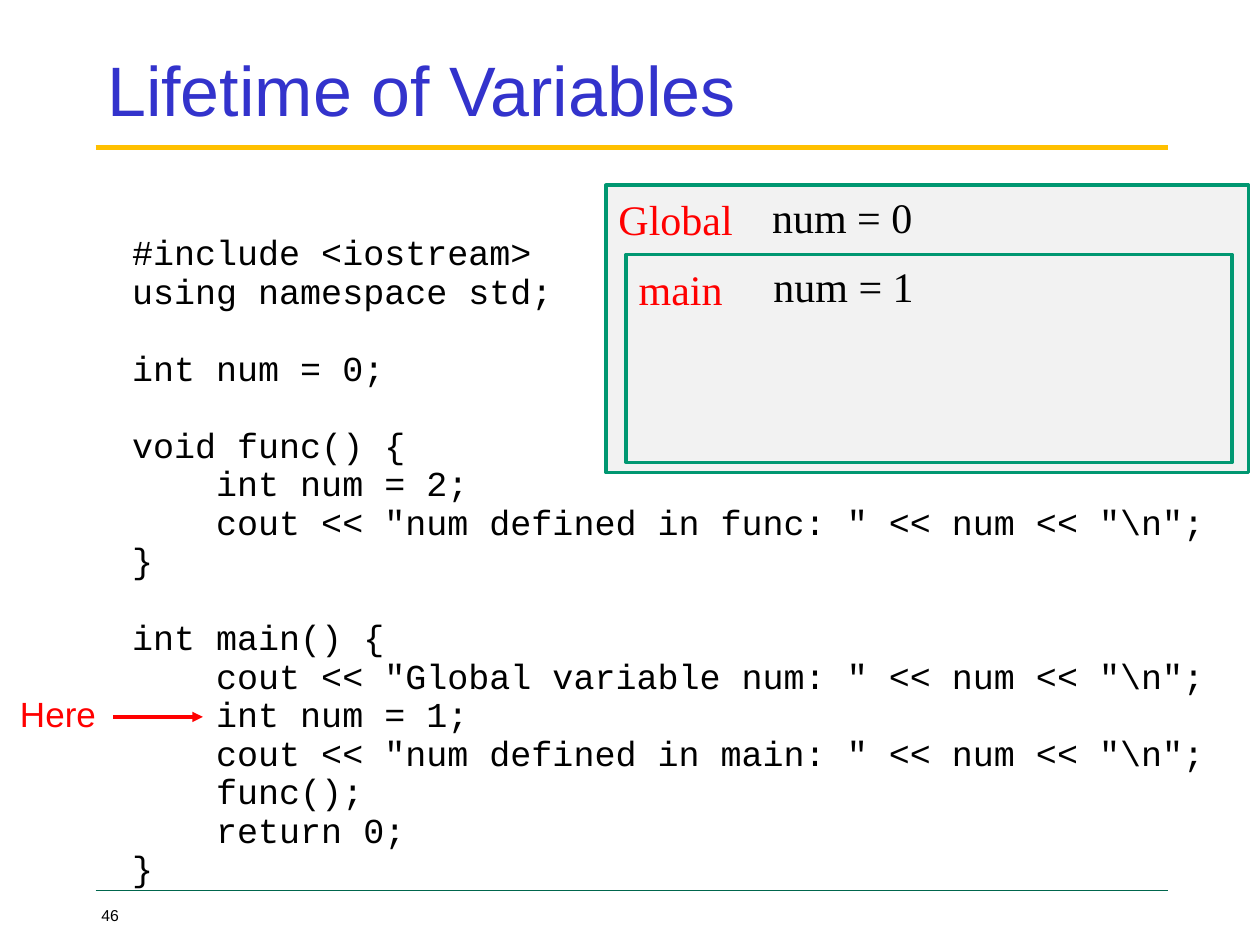
from lxml import etree
from pptx import Presentation
from pptx.dml.color import RGBColor
from pptx.enum.shapes import MSO_CONNECTOR as CONN, MSO_SHAPE as SHAPE
from pptx.enum.text import MSO_ANCHOR as ANCHOR, PP_ALIGN as ALIGN
from pptx.oxml.ns import qn
from pptx.util import Pt

PX = 9144  # 100 px to the inch

BLUE = RGBColor(0x33, 0x33, 0xCC)
GOLD = RGBColor(0xFF, 0xC0, 0x00)
DARK_GREEN = RGBColor(0x00, 0x66, 0x4D)
GREEN = RGBColor(0x00, 0x97, 0x71)
GRAY = RGBColor(0xF2, 0xF2, 0xF2)
RED = RGBColor(0xFF, 0x00, 0x00)
BLACK = RGBColor(0x00, 0x00, 0x00)

CODE = r'''#include <iostream>
using namespace std;

int num = 0;

void func() {
    int num = 2;
    cout << "num defined in func: " << num << "\n";
}

int main() {
    cout << "Global variable num: " << num << "\n";
    int num = 1;
    cout << "num defined in main: " << num << "\n";
    func();
    return 0;
}'''

prs = Presentation()
prs.slide_width, prs.slide_height = 1000 * PX, 750 * PX
s = prs.slides.add_slide(prs.slide_layouts[5])


def add_line(x1, y1, x2, y2, color, width):
    ln = s.shapes.add_connector(CONN.STRAIGHT, x1 * PX, y1 * PX, x2 * PX, y2 * PX)
    ln.line.color.rgb = color
    ln.line.width = Pt(width)
    etree.SubElement(ln._element.spPr, qn("a:effectLst"))
    return ln


def add_text(x, y, w, h, text, size, font, color, wrap=True, align=ALIGN.LEFT):
    tf = s.shapes.add_textbox(x * PX, y * PX, w * PX, h * PX).text_frame
    tf.word_wrap = wrap
    p = tf.paragraphs[0]
    p.alignment = align
    r = p.add_run()
    r.text = text
    r.font.size, r.font.name, r.font.color.rgb = Pt(size), font, color
    return tf


# Rules under the title and above the footer
add_line(76, 117, 927, 117, GOLD, 3)
add_line(76, 707, 927, 707, DARK_GREEN, 0.75)

# Title
title = s.shapes.title
title.left, title.top, title.width, title.height = 75 * PX, 33 * PX, 850 * PX, 75 * PX
tf = title.text_frame
tf.vertical_anchor = ANCHOR.MIDDLE
p = tf.paragraphs[0]
p.alignment = ALIGN.LEFT
r = p.add_run()
r.text = "Lifetime of Variables"
r.font.size, r.font.name, r.font.color.rgb = Pt(40), "Arial", BLUE

# Slide number
tf = add_text(75, 717, 25, 17, "46", 9, "Arial", BLACK, align=ALIGN.CENTER)
tf.margin_left = tf.margin_right = tf.margin_top = tf.margin_bottom = 0
tf.vertical_anchor = ANCHOR.BOTTOM

# Marker for the current statement
add_text(0, 545, 92, 44, "Here", 20, "Arial", RED, align=ALIGN.CENTER)
arrow = add_line(90, 569, 161, 569, RED, 2)
etree.SubElement(arrow.line._get_or_add_ln(), qn("a:tailEnd"), type="triangle")

# Nested scopes, each with its name and variable
for x, y, w, h, scope, value_x, value in [
    (481, 147, 510, 228, "Global", 603, "num = 0"),
    (497, 202, 481, 165, "main", 604, "num = 1"),
]:
    sp = s.shapes.add_shape(SHAPE.RECTANGLE, x * PX, y * PX, w * PX, h * PX)
    sp.shadow.inherit = False
    sp.fill.solid()
    sp.fill.fore_color.rgb = GRAY
    sp.line.color.rgb = GREEN
    sp.line.width = Pt(2)
    add_text(x, y + 2, 255, 50, scope, 24, "Times New Roman", RED)
    add_text(value_x, y, 133, 50, value, 24, "Times New Roman", BLACK, wrap=False)

# Program: an empty line becomes space before the next paragraph
tf = s.shapes.add_textbox(95 * PX, 181 * PX, 893 * PX, 535 * PX).text_frame
tf.word_wrap = True
p = tf.paragraphs[0]
for i, block in enumerate(CODE.split("\n\n")):
    for j, code_line in enumerate(block.split("\n")):
        if i or j:
            p = tf.add_paragraph()
        p.line_spacing = Pt(22)
        if i and j == 0:
            p.space_before = Pt(22)
        r = p.add_run()
        r.text = code_line
        r.font.size, r.font.name, r.font.color.rgb = Pt(20), "Courier New", BLACK

prs.save("out.pptx")
